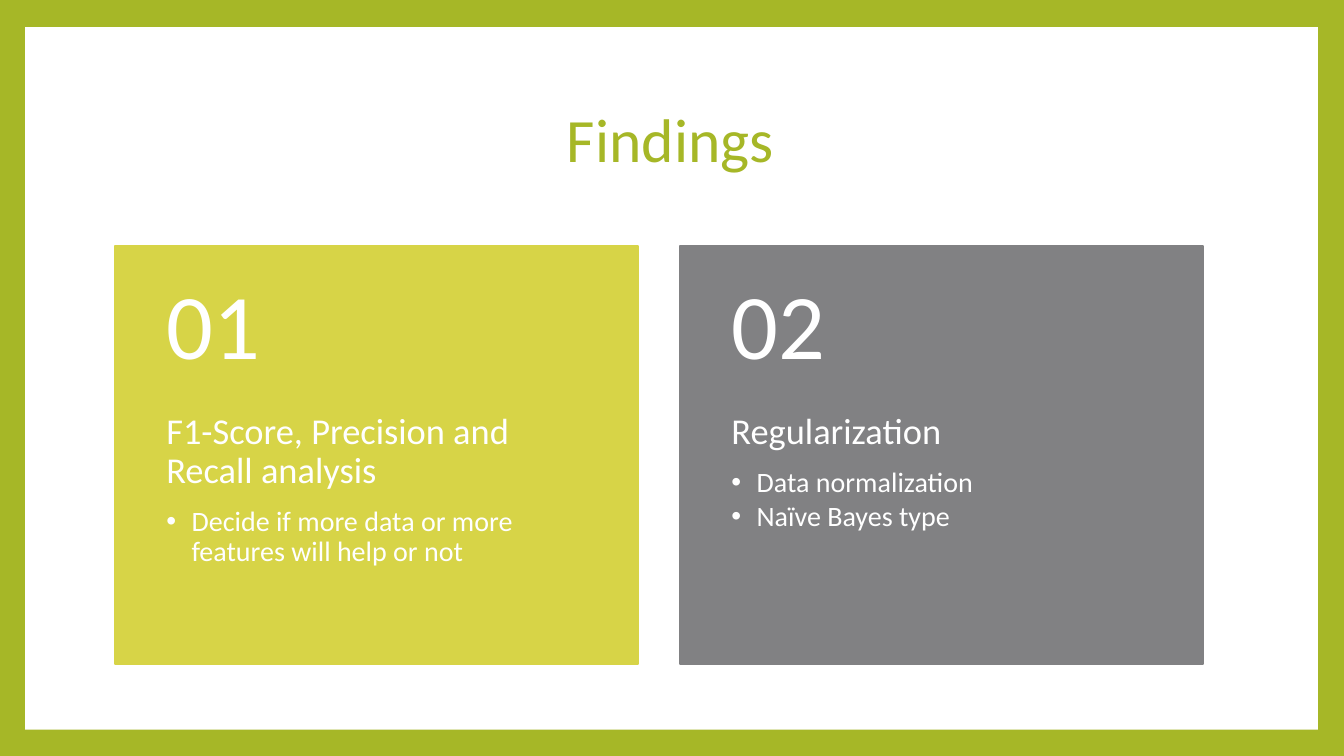
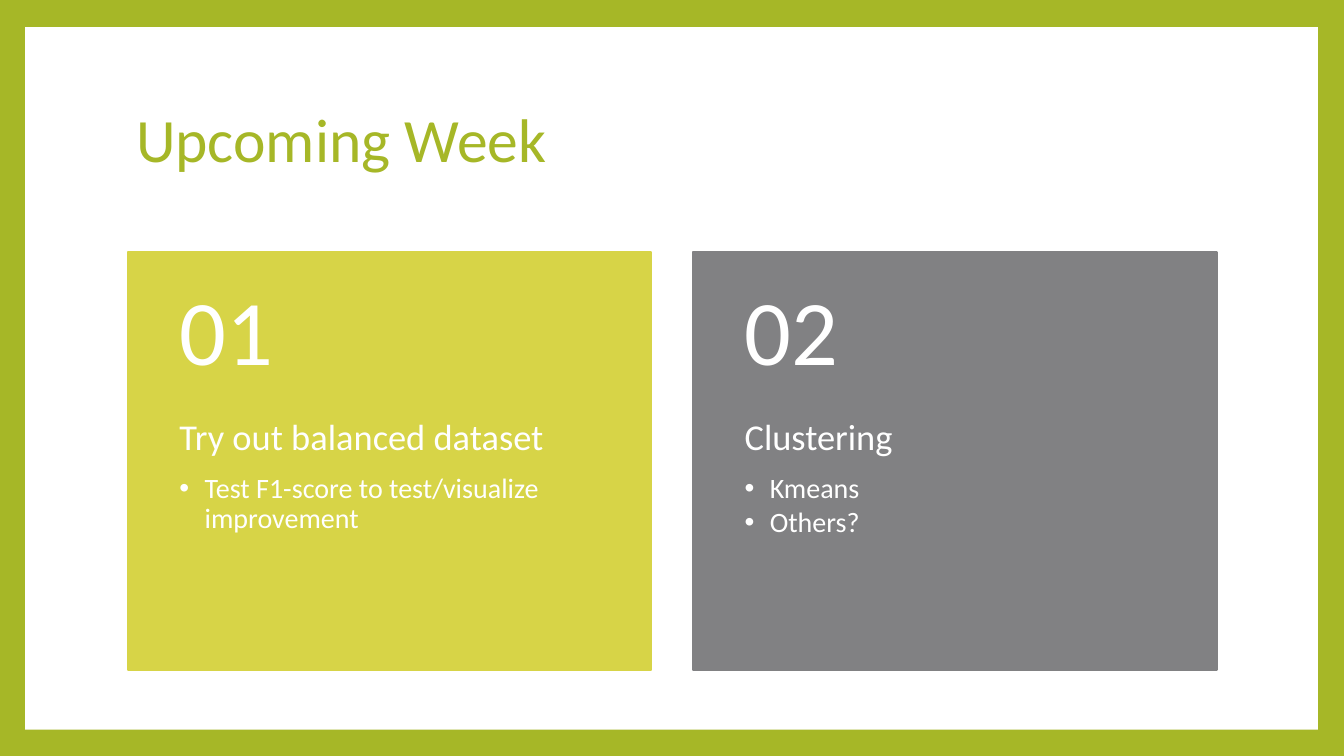
from lxml import etree
from pptx import Presentation
from pptx.dml.color import RGBColor
from pptx.enum.shapes import MSO_SHAPE
from pptx.enum.text import MSO_ANCHOR, PP_ALIGN
from pptx.oxml.ns import qn
from pptx.util import Inches, Pt

# Content: title, alignment, corner of the first card, cards (heading, bullets)
SLIDES = [
    ("Findings", PP_ALIGN.CENTER, (1.14, 2.44), [
        ("F1-Score, Precision and Recall analysis",
         ["Decide if more data or more features will help or not"]),
        ("Regularization", ["Data normalization", "Naïve Bayes type"]),
    ]),
    ("Upcoming Week", PP_ALIGN.LEFT, (1.27, 2.5), [
        ("Try out balanced dataset",
         ["Test F1-score to test/visualize improvement"]),
        ("Clustering", ["Kmeans", "Others?"]),
    ]),
]

# Shared style
FONT = "Calibri"
GREEN, WHITE = "A6B727", "FFFFFF"
CARD_COLORS = ["D7D447", "818183"]
CARD_W, NUMBER_H, BODY_H = 5.19, 1.66, 2.49
CARD_STEP = 5.605


def rgb(color):
    return RGBColor.from_string(color)


def add_rect(shapes, x, y, w, h, color, line_width=None):
    sp = shapes.add_shape(MSO_SHAPE.RECTANGLE, Inches(x), Inches(y),
                          Inches(w), Inches(h))
    sp.shadow.inherit = False
    sp.fill.solid()
    sp.fill.fore_color.rgb = rgb(color)
    if line_width:
        sp.line.color.rgb = rgb(color)
        sp.line.width = Pt(line_width)
    else:
        sp.line.fill.background()
    return sp


def style(p, size, color, after=0):
    p.line_spacing = 0.9
    p.space_before = Pt(0)
    p.space_after = Pt(after)
    for r in p.runs:
        r.font.name = FONT
        r.font.size = Pt(size)
        r.font.color.rgb = rgb(color)


def add_bullet(p):
    pPr = p._p.get_or_add_pPr()
    pPr.set("marL", str(Inches(0.25)))
    pPr.set("indent", str(-Inches(0.25)))
    etree.SubElement(pPr, qn("a:buFont")).set("typeface", "Arial")
    etree.SubElement(pPr, qn("a:buChar")).set("char", "•")


def add_text(shapes, x, y, h, top, bottom, anchor):
    tf = shapes.add_textbox(Inches(x), Inches(y), Inches(CARD_W),
                            Inches(h)).text_frame
    tf.word_wrap = True
    tf.vertical_anchor = anchor
    tf.margin_left = tf.margin_right = Inches(0.51)
    tf.margin_top, tf.margin_bottom = Inches(top), Inches(bottom)
    return tf


def add_card(s, x, y, number, color, heading, bullets):
    shapes = s.shapes.add_group_shape().shapes
    add_rect(shapes, x, y, CARD_W, NUMBER_H + BODY_H, color, 1.5)

    # Heading and bullets
    tf = add_text(shapes, x, y + NUMBER_H, BODY_H, 0, 0.36, MSO_ANCHOR.TOP)
    tf.text = heading
    style(tf.paragraphs[0], 26, WHITE, after=11)
    for bullet in bullets:
        p = tf.add_paragraph()
        p.text = bullet
        p.level = 1
        style(p, 20, WHITE, after=3)
        add_bullet(p)

    # Number
    tf = add_text(shapes, x, y, NUMBER_H, 0.18, 0.18, MSO_ANCHOR.MIDDLE)
    tf.text = f"{number:02d}"
    style(tf.paragraphs[0], 66, WHITE)


def set_up_master(master, s):
    """Green frame around a white panel, drawn once behind every slide."""
    master.background.fill.solid()
    master.background.fill.fore_color.rgb = rgb(GREEN)
    panel = add_rect(s.shapes, 0.25, 0.27, 12.82, 6.97, WHITE)
    panel.element.nvSpPr.cNvPr.set("id", "20")
    master.shapes.element.insert(2, panel.element)


def main():
    prs = Presentation()
    prs.slide_width, prs.slide_height = Inches(13.33), Inches(7.5)
    layout = prs.slide_layouts[5]
    title = layout.placeholders[0]
    title.left, title.top = Inches(1.25), Inches(0.67)
    title.width, title.height = Inches(10.8), Inches(1.48)

    for heading, align, (left, top), cards in SLIDES:
        s = prs.slides.add_slide(layout)
        tf = s.shapes.title.text_frame
        tf.text = heading
        tf.vertical_anchor = MSO_ANCHOR.MIDDLE
        tf.paragraphs[0].alignment = align
        style(tf.paragraphs[0], 44, GREEN)
        for i, (card, color) in enumerate(zip(cards, CARD_COLORS)):
            add_card(s, left + i * CARD_STEP, top, i + 1, color, *card)

    set_up_master(prs.slide_master, prs.slides[0])
    prs.save("out.pptx")


if __name__ == "__main__":
    main()
